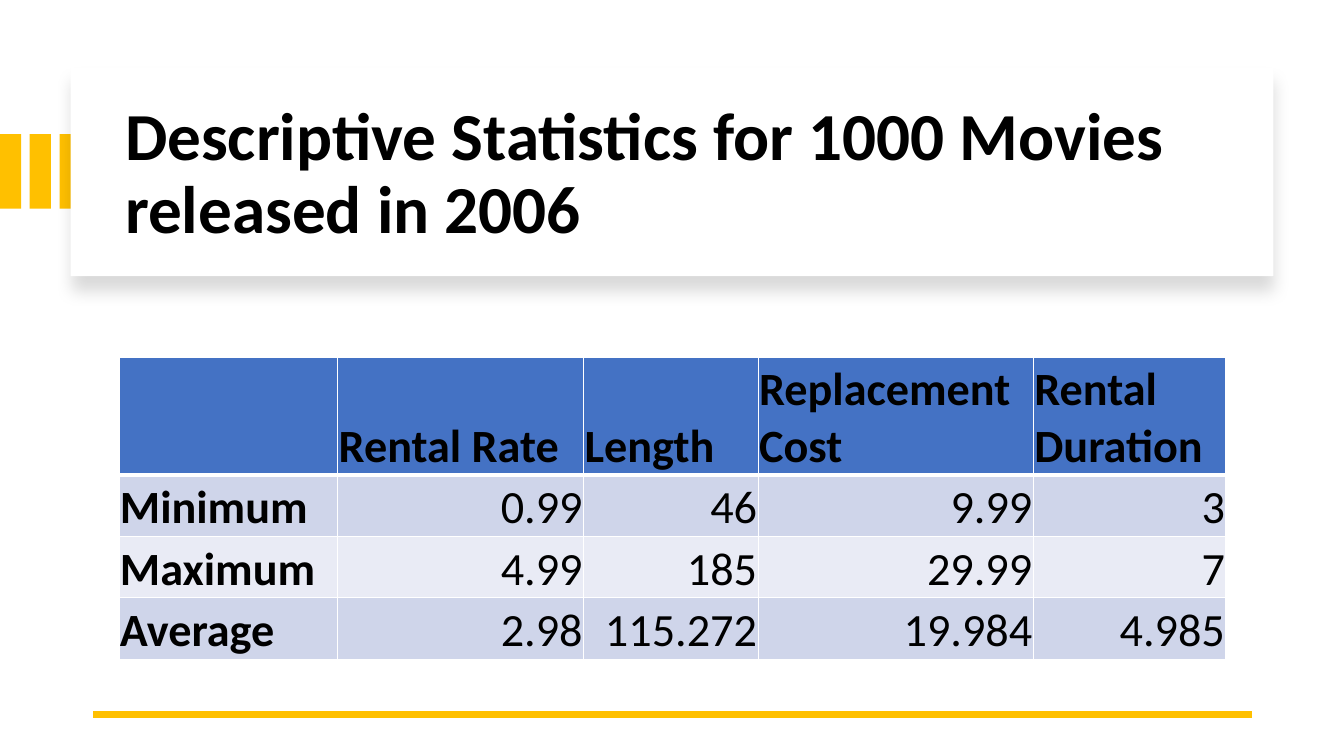
from lxml import etree
from pptx import Presentation
from pptx.dml.color import RGBColor
from pptx.enum import shapes, text
from pptx.oxml import parse_xml
from pptx.oxml.ns import nsdecls, qn
from pptx.util import Inches, Pt

BLACK = RGBColor(0x00, 0x00, 0x00)
WHITE = RGBColor(0xFF, 0xFF, 0xFF)
GOLD = RGBColor(0xFF, 0xC0, 0x00)
BLUE = RGBColor(0x44, 0x72, 0xC4)
BAND_DARK = RGBColor(0xCF, 0xD5, 0xEA)
BAND_LIGHT = RGBColor(0xE9, 0xEB, 0xF5)


def write(tf, words, size=33, bold=False, align=text.PP_ALIGN.LEFT, spacing=1.0):
    """Put one formatted paragraph into a text frame."""
    p = tf.paragraphs[0]
    p.alignment = align
    p.line_spacing = spacing
    r = p.add_run()
    r.text = words
    r.font.name = "Calibri"
    r.font.size = Pt(size)
    r.font.bold = bold
    r.font.color.rgb = BLACK


def add_box(s, left, top, width, height, color):
    """Add a plain rectangle without line or shadow."""
    sp = s.shapes.add_shape(shapes.MSO_SHAPE.RECTANGLE, Inches(left), Inches(top),
                            Inches(width), Inches(height))
    sp.shadow.inherit = False
    sp.fill.solid()
    sp.fill.fore_color.rgb = color
    sp.line.fill.background()
    return sp


prs = Presentation()
prs.slide_width, prs.slide_height = Inches(13.33), Inches(7.5)
s = prs.slides.add_slide(prs.slide_layouts[5])

# Gold bars running in behind the title card
for i in range(3):
    add_box(s, i * 0.295, 1.33, 0.21, 0.74, GOLD)

# Title card with a soft shadow below
card = add_box(s, 0.7, 0.67, 11.93, 2.07, WHITE)
effects = card._element.spPr.find(qn("a:effectLst"))
effects.append(parse_xml(
    f'<a:outerShdw {nsdecls("a")} blurRad="{Pt(11)}" dist="{Pt(10)}" dir="5400000" '
    'algn="t" rotWithShape="0"><a:srgbClr val="000000"><a:alpha val="15000"/>'
    '</a:srgbClr></a:outerShdw>'))

title = s.shapes.title
card._element.addnext(title._element)
title.left, title.top = Inches(1.14), Inches(0.89)
title.width, title.height = Inches(11.13), Inches(1.7)
title.text_frame.word_wrap = True
title.text_frame.auto_size = text.MSO_AUTO_SIZE.NONE
title.text_frame.vertical_anchor = text.MSO_ANCHOR.MIDDLE
write(title.text_frame, "Descriptive Statistics for 1000 Movies released in 2006",
      size=48, bold=True, spacing=0.9)

# Footer rule
rule = s.shapes.add_connector(shapes.MSO_CONNECTOR.STRAIGHT, Inches(12.42), Inches(7.09),
                              Inches(0.92), Inches(7.09))
rule.line.color.rgb = GOLD
rule.line.width = Pt(4.5)
etree.SubElement(rule._element.spPr, qn("a:effectLst"))

# Statistics table
rows = [
    ["", "Rental Rate", "Length", "Replacement Cost", "Rental Duration"],
    ["Minimum", "0.99", "46", "9.99", "3"],
    ["Maximum", "4.99", "185", "29.99", "7"],
    ["Average", "2.98", "115.272", "19.984", "4.985"],
]
row_fills = [BLUE, BAND_DARK, BAND_LIGHT, BAND_DARK]
col_widths = [2.17, 2.44, 1.73, 2.73, 1.91]
row_heights = [1.16, 0.61, 0.61, 0.61]

table = s.shapes.add_table(len(rows), len(col_widths), Inches(1.18), Inches(3.55),
                           Inches(sum(col_widths)), Inches(sum(row_heights))).table
for col, width in zip(table.columns, col_widths):
    col.width = Inches(width)
for row, height in zip(table.rows, row_heights):
    row.height = Inches(height)

for i, values in enumerate(rows):
    for j, value in enumerate(values):
        cell = table.cell(i, j)
        cell.margin_left = cell.margin_top = cell.margin_right = Inches(0.01)
        cell.margin_bottom = 0
        cell.vertical_anchor = text.MSO_ANCHOR.BOTTOM
        cell.fill.solid()
        cell.fill.fore_color.rgb = row_fills[i]
        is_label = i == 0 or j == 0
        if value:
            write(cell.text_frame, value, bold=is_label,
                  align=text.PP_ALIGN.LEFT if is_label else text.PP_ALIGN.RIGHT)
        # The edge between header and body is thicker
        edges = {"lnL": 1, "lnR": 1, "lnT": 3 if i == 1 else 1, "lnB": 3 if i == 0 else 1}
        for k, (edge, points) in enumerate(edges.items()):
            cell._tc.tcPr.insert(k, parse_xml(
                f'<a:{edge} {nsdecls("a")} w="{Pt(points)}"><a:solidFill>'
                f'<a:srgbClr val="{WHITE}"/></a:solidFill></a:{edge}>'))

prs.save("out.pptx")
